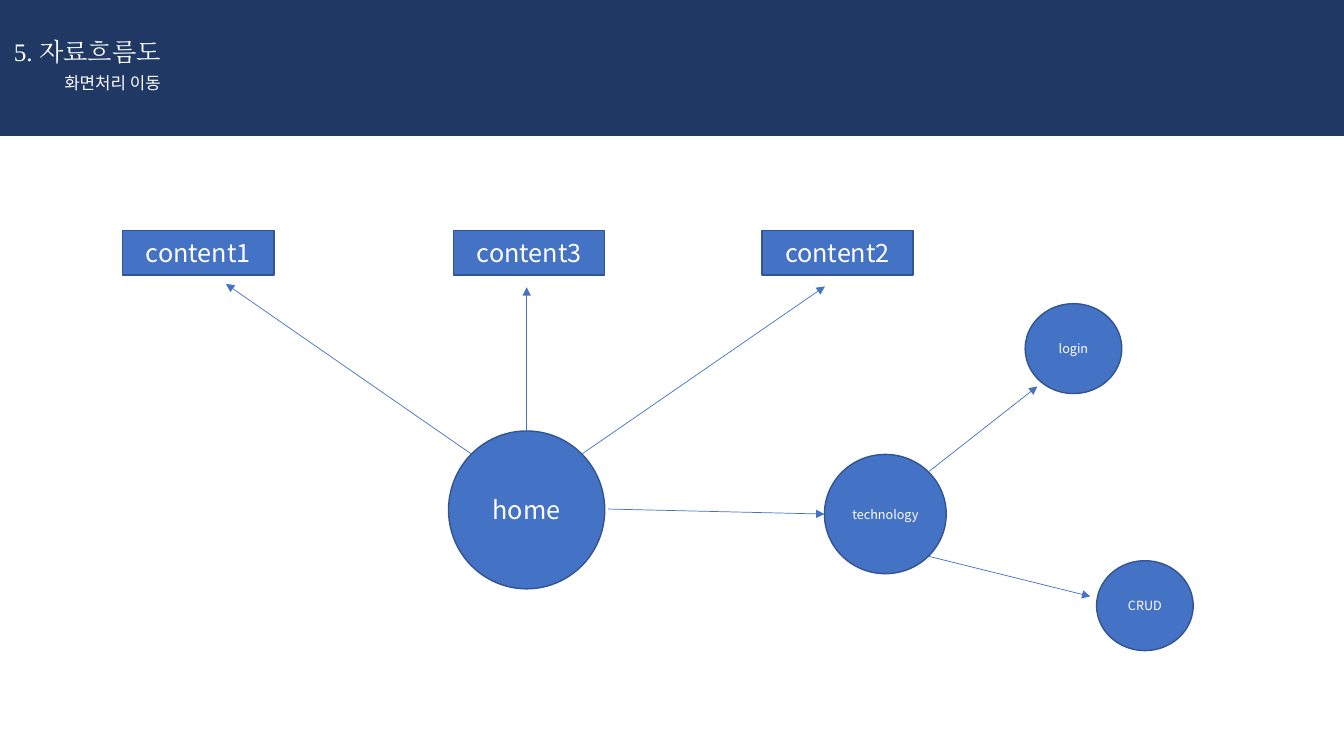
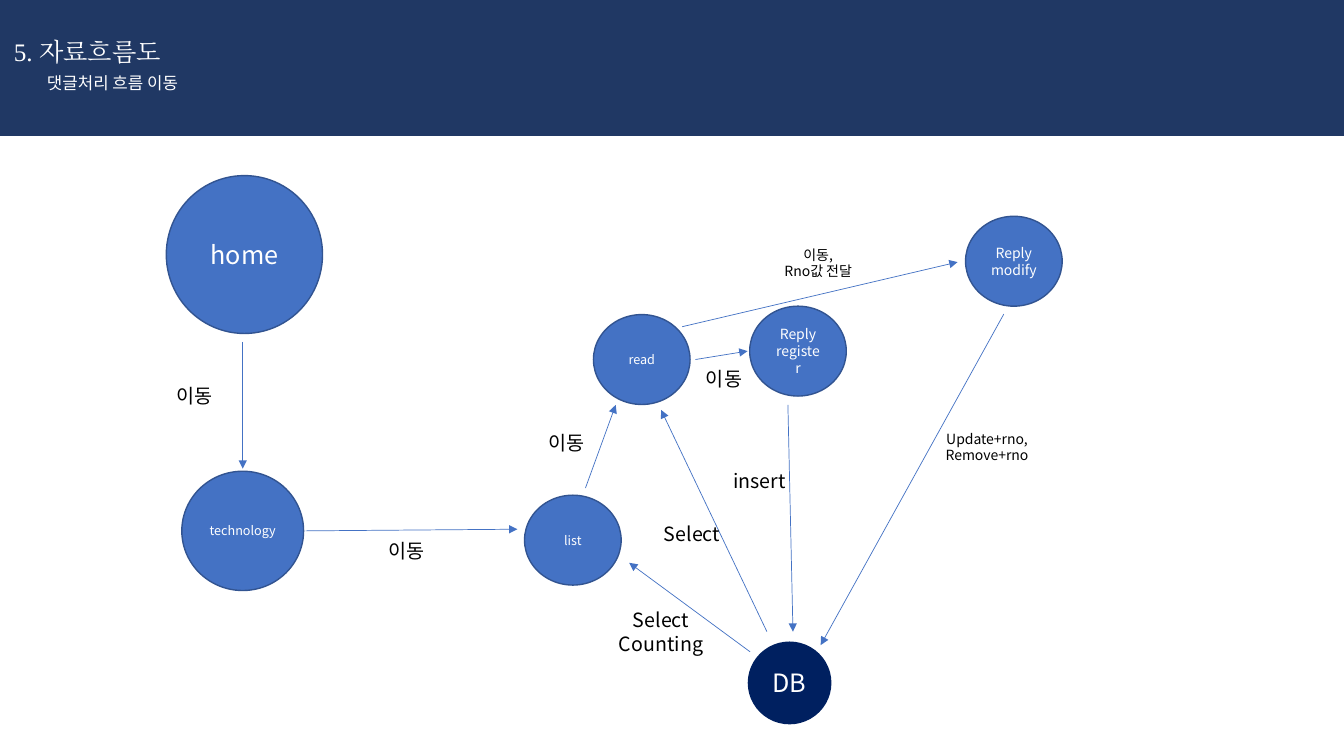
import math

import pptx
import pptx.dml.color
import pptx.enum.shapes
import pptx.enum.text
import pptx.oxml.ns
import pptx.util

RGB = pptx.dml.color.RGBColor
MSO = pptx.enum.shapes.MSO_SHAPE
NAVY = RGB(0x20, 0x38, 0x64)
BLUE = RGB(0x44, 0x72, 0xC4)
EDGE = RGB(0x32, 0x54, 0x91)
DEEP = RGB(0x00, 0x20, 0x60)
WHITE = RGB(0xFF, 0xFF, 0xFF)
BLACK = RGB(0x00, 0x00, 0x00)
SANS = "Noto Sans CJK KR"
SERIF = "Times New Roman"

WIDTH = pptx.util.Inches(13.33)
HEIGHT = pptx.util.Inches(7.5)
COLS, ROWS = 160, 90
BAND = 16.3  # rows above the white body

# Sizes in columns and rows
HOME = (18.6, 18.8)
HUB = (14.5, 14.2)
NODE = (11.5, 10.7)
STORE = (9.8, 9.7)
BOX = (18, 5.3)
LABEL = (12.7, 2.8)
NOTE = (17.8, 4)


def col(n):
    return round(WIDTH * n / COLS)


def row(n):
    return round(HEIGHT * n / ROWS)


def frame(center, size):
    """Left, top, width and height of a box placed by its centre."""
    (x, y), (w, h) = center, size
    return col(x - w / 2), row(y - h / 2), col(w), row(h)


def rim(center, size, degrees):
    """Point on an ellipse, counted anticlockwise from its right end."""
    a = math.radians(degrees)
    return (center[0] + size[0] / 2 * math.cos(a),
            center[1] - size[1] / 2 * math.sin(a))


def write(sp, text, pt=18, color=WHITE, font=SANS):
    """Centre the lines of text in a shape, one paragraph a line."""
    tf = sp.text_frame
    tf.word_wrap = True
    tf.vertical_anchor = pptx.enum.text.MSO_ANCHOR.MIDDLE
    for i, line in enumerate(text.split("\n")):
        p = tf.add_paragraph() if i else tf.paragraphs[0]
        p.alignment = pptx.enum.text.PP_ALIGN.CENTER
        r = p.add_run()
        r.text = line
        r.font.size = pptx.util.Pt(pt)
        r.font.name = font
        r.font.color.rgb = color
        rPr = r.font._element
        ea = rPr.makeelement(pptx.oxml.ns.qn("a:ea"), {"typeface": font})
        rPr.find(pptx.oxml.ns.qn("a:latin")).addnext(ea)


def add_text(s, text, center, size, **style):
    write(s.shapes.add_textbox(*frame(center, size)), text, **style)


def add_label(s, text, center):
    add_text(s, text, center, LABEL, pt=14, color=BLACK)


def add_note(s, text, center):
    add_text(s, text, center, NOTE, pt=10, color=BLACK)


def add_block(s, kind, center, size, fill=BLUE, line=EDGE):
    sp = s.shapes.add_shape(kind, *frame(center, size))
    sp.shadow.inherit = False
    sp.fill.solid()
    sp.fill.fore_color.rgb = fill
    sp.line.color.rgb = line
    sp.line.width = pptx.util.Pt(1)
    return sp


def add_circle(s, text, center, size, pt=9, **colors):
    sp = add_block(s, MSO.OVAL, center, size, **colors)
    write(sp, text, pt=pt)
    return sp


def add_arrow(s, start, end):
    c = s.shapes.add_connector(
        pptx.enum.shapes.MSO_CONNECTOR.STRAIGHT,
        col(start[0]), row(start[1]), col(end[0]), row(end[1]))
    c.line.color.rgb = BLUE
    c.line.width = pptx.util.Pt(0.5)
    props = c._element.spPr
    ln = props.find(pptx.oxml.ns.qn("a:ln"))
    ln.append(ln.makeelement(pptx.oxml.ns.qn("a:tailEnd"), {"type": "triangle"}))
    props.append(props.makeelement(pptx.oxml.ns.qn("a:effectLst"), {}))
    return c


def add_flow_slide(prs, subtitle):
    """Slide with the navy title band over a white body."""
    s = prs.slides.add_slide(prs.slide_layouts[6])
    s.background.fill.solid()
    s.background.fill.fore_color.rgb = NAVY
    body = ROWS - BAND
    add_block(s, MSO.RECTANGLE, (COLS / 2, BAND + body / 2), (COLS, body),
              fill=WHITE, line=WHITE)
    add_text(s, "5. 자료흐름도", (10.4, 6.1), (20.8, 10.2), font=SERIF)
    add_text(s, subtitle, (13.4, 9.8), (26.8, 2.5), pt=12)
    return s


def build_screen_flow(prs):
    s = add_flow_slide(prs, "화면처리 이동")
    home, technology = (62.7, 60.7), (105.4, 61.2)
    home_circle = add_circle(s, "home", home, HOME, pt=18)
    for text, x in (("content1", 23.6), ("content2", 99.7), ("content3", 63)):
        write(add_block(s, MSO.RECTANGLE, (x, 30.1), BOX), text)
    add_circle(s, "technology", technology, HUB)
    add_circle(s, "login", (127.8, 41.5), NODE)
    add_circle(s, "CRUD", (136.3, 72.1), NODE)

    up = add_arrow(s, rim(home, HOME, 90), (62.7, 34.2))
    up.begin_connect(home_circle, 0)
    for start, end in (
        (rim(home, HOME, 135), (26.9, 33.8)),
        (rim(home, HOME, 45), (98.2, 34.1)),
        ((72.4, 60.6), rim(technology, HUB, 180)),
        (rim(technology, HUB, 45), (123.5, 46)),
        (rim(technology, HUB, -45), (129.8, 71)),
    ):
        add_arrow(s, start, end)


def build_reply_flow(prs):
    s = add_flow_slide(prs, "댓글처리 흐름 이동")
    add_circle(s, "home", (29.1, 30.3), HOME, pt=18)
    add_circle(s, "technology", (28.9, 63.2), HUB)
    add_circle(s, "DB", (94, 81.3), STORE, pt=18, fill=DEEP, line=DEEP)
    for text, center, pt in (
        ("list", (68.2, 64.3), 9),
        ("read", (76.4, 42.8), 9),
        ("Reply\nregister", (95, 41.8), 10),
        ("Reply\nmodify", (120.7, 31.1), 10),
    ):
        add_circle(s, text, center, NODE, pt=pt)

    for start, end in (
        ((28.9, 40.7), (28.9, 55.8)),   # home to technology
        ((36.4, 63.2), (61.6, 63)),     # technology to list
        ((69.7, 58.1), (73.3, 48.2)),   # list to read
        ((82.8, 42.8), (89, 41.8)),     # read to register
        ((81.2, 38.9), (114, 31.2)),    # read to modify
        ((93.8, 48.2), (94.4, 75.2)),   # register to DB
        ((119.5, 37.4), (97.7, 76.8)),  # modify to DB
        ((89.3, 77.6), (74.9, 67)),     # DB to list
        ((91.3, 75.2), (78.7, 48.8)),   # DB to read
    ):
        add_arrow(s, start, end)

    for center in ((23.2, 47.1), (48.4, 65.6), (67.4, 52.7), (86.2, 45.1)):
        add_label(s, "이동", center)
    add_label(s, "Select\nCounting", (78.7, 75.2))
    add_label(s, "Select", (82.4, 63.5))
    add_label(s, "insert", (90.4, 57.2))
    add_note(s, "이동,\nRno값 전달", (97.4, 31.3))
    add_note(s, "Update+rno,\nRemove+rno", (117.5, 53.2))


def main():
    prs = pptx.Presentation()
    prs.slide_width, prs.slide_height = WIDTH, HEIGHT
    build_screen_flow(prs)
    build_reply_flow(prs)
    prs.save("out.pptx")


if __name__ == "__main__":
    main()
